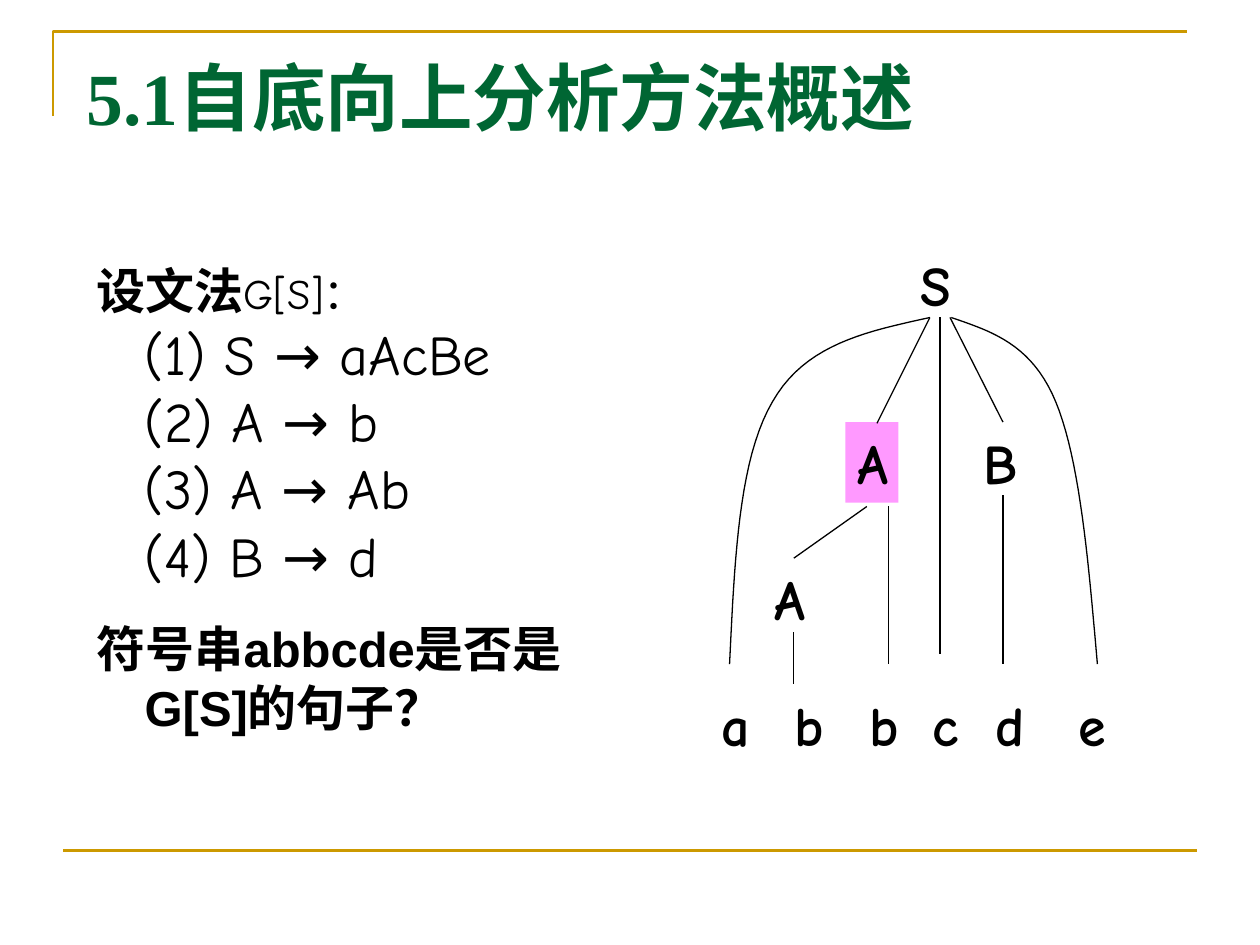
from collections import namedtuple

from lxml.etree import SubElement
from pptx import Presentation
from pptx.dml.color import RGBColor
from pptx.enum.shapes import MSO_CONNECTOR as Connector, MSO_SHAPE as Shape
from pptx.enum.text import MSO_ANCHOR as Anchor
from pptx.oxml.ns import qn
from pptx.util import Inches, Pt

COLORS = {"gold": "CC9900", "green": "006633", "black": "000000", "pink": "FF99FF"}
LATIN, SANS, SERIF = "Comic Neue", "Arial", "Times New Roman"
Box = namedtuple("Box", "left top width height")

GRAMMAR = ["(1) S → aAcBe", "(2) A → b", "(3) A → Ab", "(4) B → d"]
NODE_HEIGHT = 0.64
LEAF_TOP = 3.49
# Leaf letter, left, width
LEAVES = [("a", 0, 0.33), ("b", 0.58, 0.33), ("b", 1.17, 0.33),
          ("c", 1.67, 0.33), ("d", 2.17, 0.33), ("e", 2.83, 0.42)]
# Straight edges inside the tree: x1, y1, x2, y2
EDGES = [
    (1.75, 0.58, 1.33, 1.42),  # S to A
    (1.83, 0.58, 1.83, 3.25),  # S to c
    (1.25, 2.08, 0.67, 2.49),  # A to lower A
    (1.42, 2.08, 1.42, 3.33),  # A to b
    (0.67, 3.08, 0.67, 3.49),  # lower A to b
    (2.33, 1.99, 2.33, 3.33),  # B to d
]
# Each curved edge is two cubic pieces that share their middle point
CURVES = [
    [(1.75, 0.58), (1.25, 0.69), (0.76, 0.79), (0.5, 1.25),
     (0.23, 1.71), (0.2, 2.52), (0.16, 3.33)],  # S to a
    [(1.92, 0.58), (2.24, 0.69), (2.56, 0.79), (2.75, 1.25),
     (2.94, 1.71), (3.01, 2.52), (3.08, 3.33)],  # S to e
]


def rgb(name):
    return RGBColor.from_string(COLORS[name])


def style_font(font, size, face, bold=False, color="black"):
    font.size, font.name, font.bold = Pt(size), face, bold
    font.color.rgb = rgb(color)


def add_line(page, x1, y1, x2, y2, color="black", width=0.75):
    line = page.shapes.add_connector(
        Connector.STRAIGHT, Inches(x1), Inches(y1), Inches(x2), Inches(y2))
    line.line.color.rgb = rgb(color)
    line.line.width = Pt(width)
    SubElement(line._element.spPr, qn("a:effectLst"))
    return line


def add_outline(page, points, color="black", width=0.75):
    """Draw an open, unfilled line through the points."""
    start, *rest = [(Inches(x), Inches(y)) for x, y in points]
    builder = page.shapes.build_freeform(*start)
    builder.add_line_segments(rest, close=False)
    outline = builder.convert_to_shape()
    outline.fill.background()
    outline.line.color.rgb = rgb(color)
    outline.line.width = Pt(width)
    outline.shadow.inherit = False


def bezier(p0, p1, p2, p3, steps=20):
    for step in range(steps + 1):
        t = step / steps
        u = 1 - t
        yield tuple(u**3 * a + 3 * u * u * t * b + 3 * u * t * t * c + t**3 * d
                    for a, b, c, d in zip(p0, p1, p2, p3))


def add_text_box(page, box):
    text_box = page.shapes.add_textbox(*map(Inches, box))
    text_box.text_frame.word_wrap = True
    text_box.text_frame.vertical_anchor = Anchor.TOP
    return text_box


def add_frame(page, box):
    """Draw the corner rule above the title and the rule at the foot."""
    right = box.left + 9
    add_outline(page, [(box.left, box.top + 0.67), (box.left, box.top),
                       (right, box.top)], "gold", 1.5)
    foot = box.top + box.height
    add_line(page, box.left + 0.08, foot, right + 0.08, foot, "gold", 1.5)


def add_title(page, box):
    para = add_text_box(page, box).text_frame.paragraphs[0]
    para.text = "5.1自底向上分析方法概述"
    style_font(para.font, 42, SERIF, True, "green")


def add_grammar(page, box):
    frame = add_text_box(page, box).text_frame
    rules, question = frame.paragraphs[0], frame.add_paragraph()
    for para, space in ((rules, 20), (question, 17.5)):
        para.space_before = Pt(space)
        props = para._p.get_or_add_pPr()
        props.set("marL", str(Inches(0.38)))
        props.set("indent", str(Inches(-0.38)))

    def add_span(text, size, face, bold=False):
        span = rules.add_run()
        span.text = text
        style_font(span.font, size, face, bold)

    add_span("设文法", 28, SANS, True)
    add_span("G[S]：", 24, LATIN)
    for rule in GRAMMAR:
        rules.add_line_break()
        add_span(rule, 32, LATIN)
    question.text = "符号串abbcde是否是G[S]的句子？"
    style_font(question.font, 28, SANS, True)


def add_tree(page, box):
    def add_node(letter, left, top, width, fill=None):
        place = Box(box.left + left, box.top + top, width, NODE_HEIGHT)
        if fill:
            node = page.shapes.add_shape(Shape.RECTANGLE, *map(Inches, place))
            node.fill.solid()
            node.fill.fore_color.rgb = rgb(fill)
            node.line.fill.background()
            node.shadow.inherit = False
            node.text_frame.vertical_anchor = Anchor.TOP
        else:
            node = add_text_box(page, place)
        para = node.text_frame.paragraphs[0]
        para.text = letter
        para.alignment = 1  # left
        para.space_before = Pt(20)
        style_font(para.font, 32, LATIN, True)
        return node

    add_node("S", 1.58, 0, 0.42)
    add_node("A", 1.08, 1.41, 0.42, "pink")
    node_b = add_node("B", 2.08, 1.41, 0.5)
    add_node("A", 0.42, 2.49, 0.42)
    for letter, left, width in LEAVES:
        add_node(letter, left, LEAF_TOP, width)

    def add_edge(x1, y1, x2, y2):
        return add_line(page, box.left + x1, box.top + y1,
                        box.left + x2, box.top + y2)

    for edge in EDGES:
        add_edge(*edge)
    add_edge(1.91, 0.58, 2.33, 1.41).end_connect(node_b, 0)
    for curve in CURVES:
        points = [*bezier(*curve[:4]), *list(bezier(*curve[3:]))[1:]]
        add_outline(page, [(box.left + x, box.top + y) for x, y in points])


def main():
    deck = Presentation()
    deck.slide_width, deck.slide_height = Inches(10), Inches(7.5)
    page = deck.slides.add_slide(deck.slide_layouts[6])
    add_frame(page, Box(0.42, 0.25, 9.08, 6.5))
    add_title(page, Box(0.59, 0.36, 7.52, 1.07))
    add_grammar(page, Box(0.67, 2.02, 4.39, 4))
    add_tree(page, Box(5.63, 1.94, 3.25, 4.13))
    deck.save("out.pptx")


if __name__ == "__main__":
    main()
